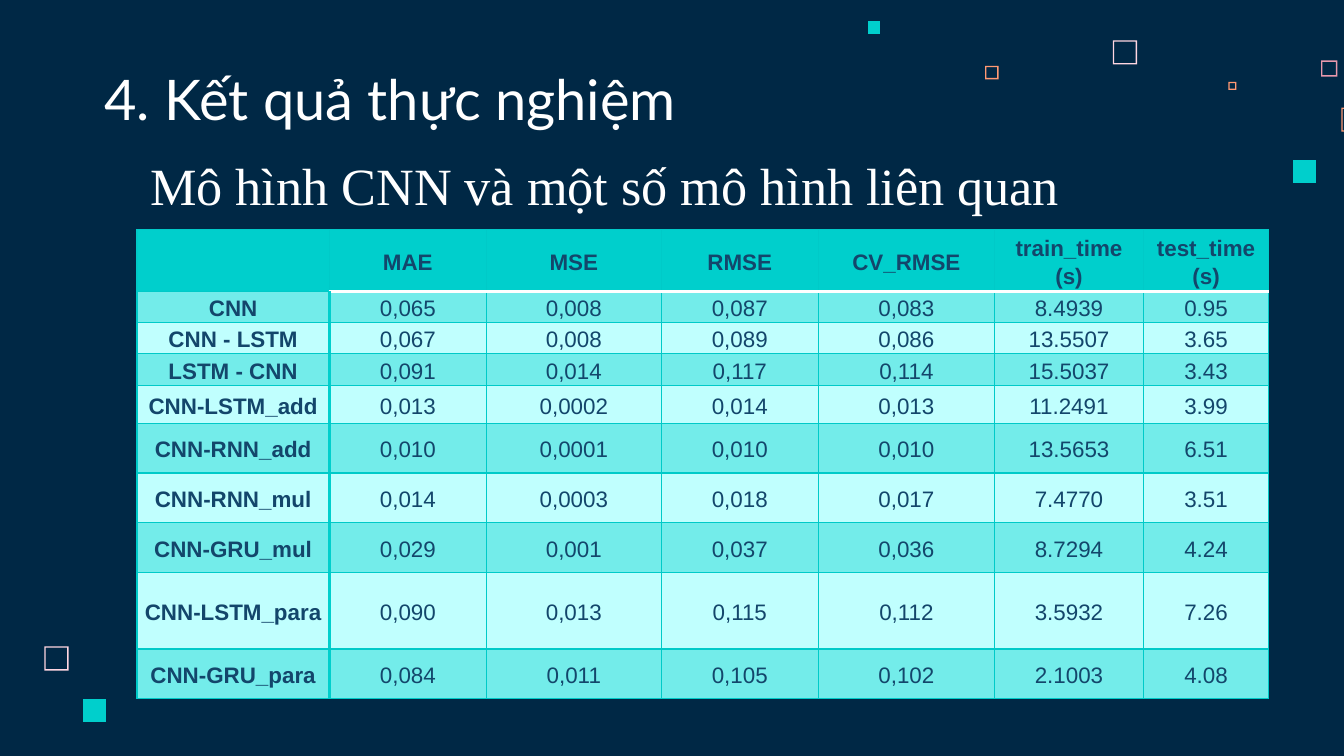
from lxml import etree
from pptx import Presentation
from pptx import util as u
from pptx.dml.color import RGBColor
from pptx.enum import text
from pptx.oxml import ns

NAVY = RGBColor(0x00, 0x28, 0x45)
WHITE = RGBColor(0xFF, 0xFF, 0xFF)
INK = RGBColor(0x13, 0x46, 0x6B)
TEAL = RGBColor(0x00, 0xCF, 0xCC)
GRID = RGBColor(0x00, 0xCA, 0xC8)
BAND = RGBColor(0x73, 0xEC, 0xEA)
PALE = RGBColor(0xC0, 0xFF, 0xFE)
PINK = RGBColor(0xFF, 0xD6, 0xE1)
ROSE = RGBColor(0xE8, 0x98, 0xAC)
ORANGE = RGBColor(0xFF, 0x99, 0x73)


def style(r, size, font, color, bold=False):
    r.font.size = u.Pt(size)
    r.font.name = font
    r.font.color.rgb = color
    r.font.bold = bold


def add_border(tc_pr, side, color, width):
    ln = etree.SubElement(tc_pr, ns.qn("a:ln" + side), w=str(u.Pt(width)))
    fill = etree.SubElement(ln, ns.qn("a:solidFill"))
    etree.SubElement(fill, ns.qn("a:srgbClr"), val=str(color))


prs = Presentation()
prs.slide_width = u.Inches(10)
prs.slide_height = u.Inches(10 * 9 / 16)
s = prs.slides.add_slide(prs.slide_layouts[6])
s.background.fill.solid()
s.background.fill.fore_color.rgb = NAVY

squares = [
    (8.28, 0.3, 0.18, PINK, True),
    (9.83, 0.45, 0.12, ROSE, True),
    (9.14, 0.61, 0.06, ORANGE, True),
    (9.98, 0.8, 0.18, ORANGE, True),
    (9.62, 1.19, 0.17, TEAL, False),
    (7.33, 0.49, 0.1, ORANGE, True),
    (6.46, 0.16, 0.09, TEAL, False),
    (0.33, 4.81, 0.18, PINK, True),
    (0.62, 5.2, 0.17, TEAL, False),
]
for x, y, size, color, hollow in squares:
    x, y, d, t = (u.Inches(v) for v in (x, y, size, 0.01))
    fb = s.shapes.build_freeform(x, y)
    fb.add_line_segments([(x, y + d), (x + d, y + d), (x + d, y)])
    if hollow:
        fb.move_to(x + d - t, y + t)
        fb.add_line_segments([(x + d - t, y + d - t), (x + t, y + d - t), (x + t, y + t)])
    sp = fb.convert_to_shape()
    sp.shadow.inherit = False
    sp.fill.solid()
    sp.fill.fore_color.rgb = color
    sp.line.fill.background()

headings = [
    ("4. Kết quả thực nghiệm", 0.68, 0.45, 5.17, 30, "Lato"),
    ("Mô hình CNN và một số mô hình liên quan", 1.02, 1.08, 7.67, 28, "Times New Roman"),
]
for words, x, y, w, size, font in headings:
    sp = s.shapes.add_textbox(u.Inches(x), u.Inches(y), u.Inches(w), u.Inches(0.63))
    tf = sp.text_frame
    tf.word_wrap = True
    tf.vertical_anchor = text.MSO_ANCHOR.BOTTOM
    tf.margin_left = tf.margin_right = tf.margin_top = tf.margin_bottom = u.Inches(0.1)
    tf.text = words
    style(tf.paragraphs[0].runs[0], size, font, WHITE)

rows = [
    ["", "MAE", "MSE", "RMSE", "CV_RMSE", "train_time (s)", "test_time (s)"],
    ["CNN", "0,065", "0,008", "0,087", "0,083", "8.4939", "0.95"],
    ["CNN - LSTM", "0,067", "0,008", "0,089", "0,086", "13.5507", "3.65"],
    ["LSTM - CNN", "0,091", "0,014", "0,117", "0,114", "15.5037", "3.43"],
    ["CNN-LSTM_add", "0,013", "0,0002", "0,014", "0,013", "11.2491", "3.99"],
    ["CNN-RNN_add", "0,010", "0,0001", "0,010", "0,010", "13.5653", "6.51"],
    ["CNN-RNN_mul", "0,014", "0,0003", "0,018", "0,017", "7.4770", "3.51"],
    ["CNN-GRU_mul", "0,029", "0,001", "0,037", "0,036", "8.7294", "4.24"],
    ["CNN-LSTM_para", "0,090", "0,013", "0,115", "0,112", "3.5932", "7.26"],
    ["CNN-GRU_para", "0,084", "0,011", "0,105", "0,102", "2.1003", "4.08"],
]
widths = [1.43, 1.17, 1.3, 1.17, 1.31, 1.11, 0.93]
heights = [0.37, 0.23, 0.21, 0.24, 0.28, 0.37, 0.37, 0.37, 0.57, 0.37]
frame = s.shapes.add_table(len(rows), len(widths), u.Inches(1.02), u.Inches(1.71),
                           u.Inches(sum(widths)), u.Inches(3.46))
table = frame.table
for col, w in zip(table.columns, widths):
    col.width = u.Inches(w)
for row, h in zip(table.rows, heights):
    row.height = u.Inches(h)

for i, values in enumerate(rows):
    for j, value in enumerate(values):
        cell = table.cell(i, j)
        borders = {side: (GRID, 0.75) for side in "LRTB"}
        if i > 0 and j < 2:
            borders["R" if j == 0 else "L"] = (TEAL, 2)
        if i < 2 and j > 0:
            borders["B" if i == 0 else "T"] = (WHITE, 2)
        tc_pr = cell._tc.get_or_add_tcPr()
        for side, (color, width) in borders.items():
            add_border(tc_pr, side, color, width)
        cell.fill.solid()
        cell.fill.fore_color.rgb = TEAL if i == 0 else BAND if i % 2 else PALE
        cell.vertical_anchor = text.MSO_ANCHOR.MIDDLE
        cell.margin_left = cell.margin_right = u.Inches(0.05)
        cell.margin_top = cell.margin_bottom = 0
        if value:
            p = cell.text_frame.paragraphs[0]
            p.text = value
            p.alignment = text.PP_ALIGN.CENTER
            p.line_spacing = 1.15
            style(p.runs[0], 12, "Arial", INK, i == 0 or j == 0)

prs.save("out.pptx")
